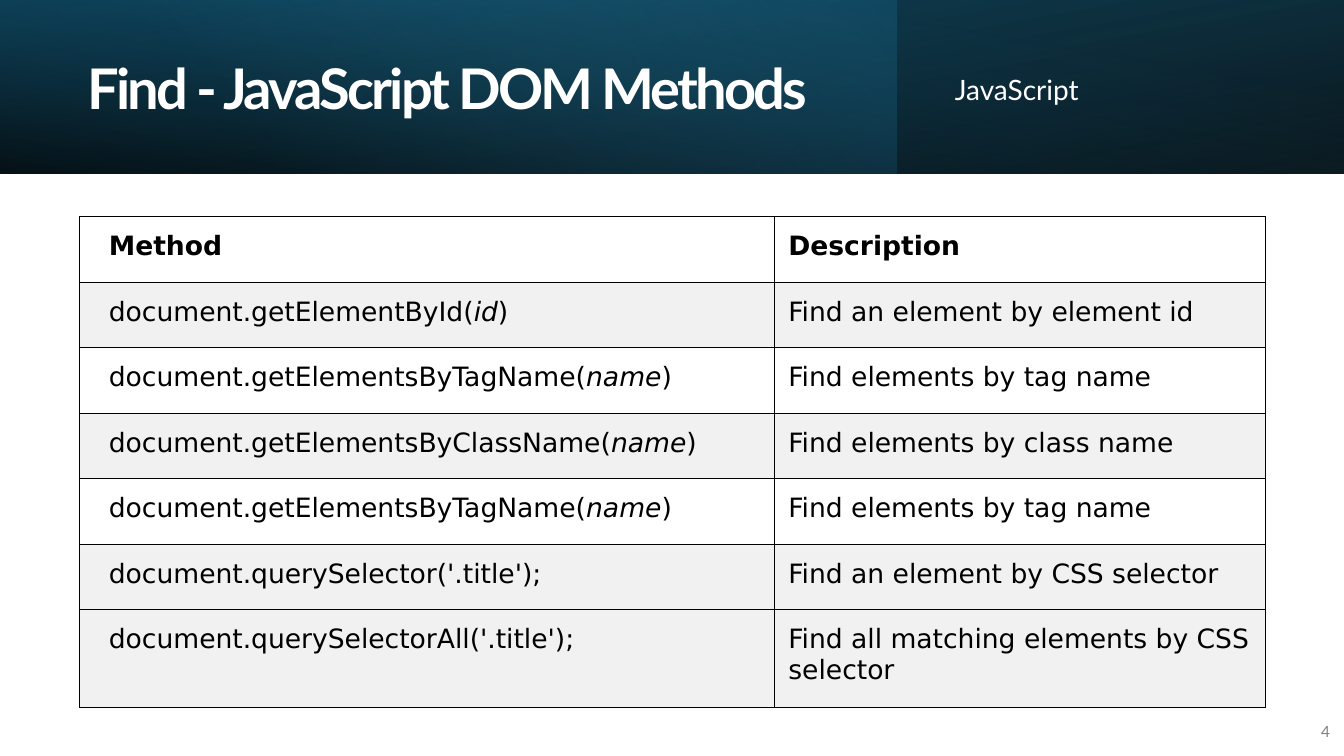
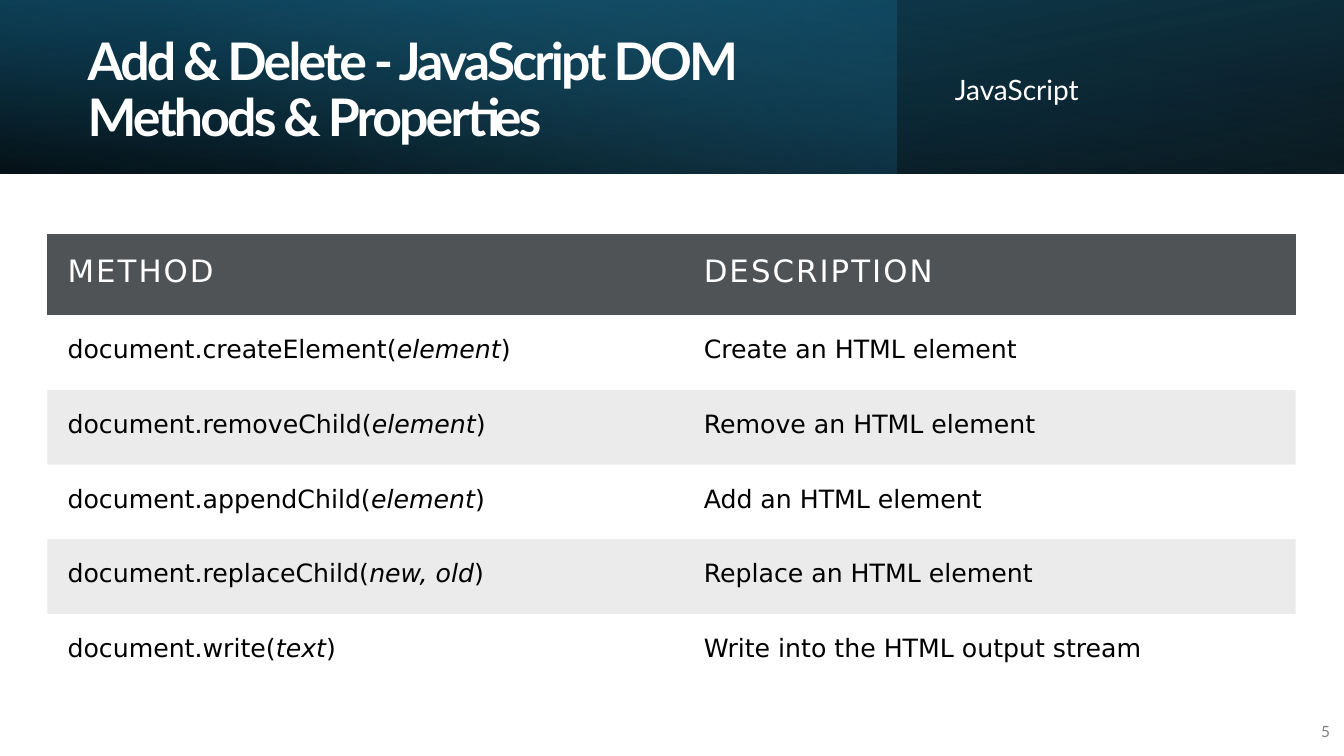
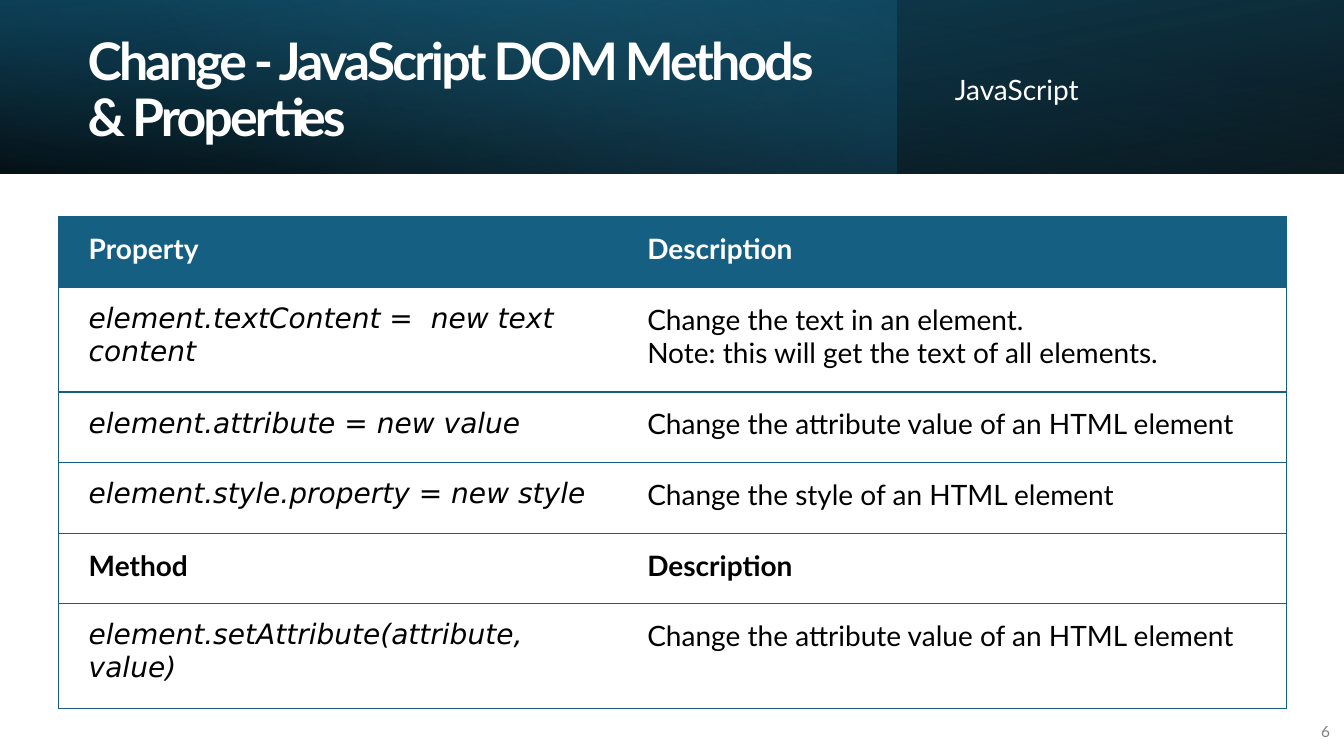
import pptx
import pptx.dml.color
import pptx.enum.shapes
import pptx.enum.text
import pptx.oxml.ns
import pptx.util
from lxml import etree

Inches = pptx.util.Inches
Pt = pptx.util.Pt
qn = pptx.oxml.ns.qn

COLORS = {
    "white": "FFFFFF",
    "black": "000000",
    "navy": "104862",
    "teal": "156082",
    "sky": "46B1E1",
    "stripe": "F1F1F1",
    "slate": "505356",
    "page": "808080",
}
TEXT_FONT = "Lato"
CODE_FONT = "DejaVu Sans"
PLAIN_TABLE = "{2D5ABB26-0587-4C30-8999-92F81FD0307C}"
BAND_HEIGHT = 1.72
SLIDE_WIDTH = 13.33

# Gradient stops are (position, colour, opacity in percent).
BAND_LAYERS = [
    dict(width=SLIDE_WIDTH, angle=100, flipped=True, rotation=180,
         stops=[(0, "black", 96), (1, "navy", 100)]),
    dict(width=8.89, angle=140, flipped=False, rotation=0,
         stops=[(0, "teal", 41), (0.74, "sky", 0)]),
    dict(width=SLIDE_WIDTH, angle=260, flipped=True, rotation=0,
         stops=[(0, "black", 63), (0.78, "teal", 15)]),
]

# Words between asterisks are set in italic code type.
FIND = dict(
    place=(0.79, 2.15), columns=[6.89, 4.87], heights=[0.65] * 6 + [0.97],
    margins=dict(left=0.14, top=0.14, right=0.14, bottom=0.14), first_left=0.29,
    border="black", inner_vertical=True,
    fills=[("white", 100), ("stripe", 100)] * 3 + [("stripe", 100)],
    header_rows={0: dict(color="black", size=Pt(19), bold=True, name=CODE_FONT)},
    body=dict(color="black", size=Pt(19), name=CODE_FONT),
    rows=[
        ("Method", "Description"),
        ("document.getElementById(*id*)", "Find an element by element id"),
        ("document.getElementsByTagName(*name*)", "Find elements by tag name"),
        ("document.getElementsByClassName(*name*)", "Find elements by class name"),
        ("document.getElementsByTagName(*name*)", "Find elements by tag name"),
        ("document.querySelector('.title');", "Find an element by CSS selector"),
        ("document.querySelectorAll('.title');",
         "Find all matching elements by CSS selector"),
    ],
)
ADD_DELETE = dict(
    place=(0.47, 2.32), columns=[6.31, 6.07], heights=[0.81] + [0.74] * 5,
    margins=dict(left=0.2, top=0.2, right=0.2, bottom=0.2), first_left=0.2,
    border=None, inner_vertical=False,
    fills=[("slate", 100)] + [None, ("black", 8)] * 2 + [None],
    header_rows={0: dict(color="white", spacing=1.5, size=Pt(22), name=CODE_FONT)},
    body=dict(color="black", size=Pt(18), name=CODE_FONT),
    rows=[
        ("METHOD", "DESCRIPTION"),
        ("document.createElement(*element*)", "Create an HTML element"),
        ("document.removeChild(*element*)", "Remove an HTML element"),
        ("document.appendChild(*element*)", "Add an HTML element"),
        ("document.replaceChild(*new, old*)", "Replace an HTML element"),
        ("document.write(*text*)", "Write into the HTML output stream"),
    ],
)
CHANGE = dict(
    place=(0.58, 2.15), columns=[5.69, 6.49],
    heights=[0.7, 1.04, 0.7, 0.7, 0.7, 1.04],
    margins=dict(left=0.15, top=0.15, right=0.15, bottom=0.15), first_left=0.3,
    border="teal", inner_vertical=False,
    fills=[("teal", 100)] + [None] * 5,
    header_rows={
        0: dict(color="white", size=Pt(20), bold=True, name=TEXT_FONT),
        4: dict(color="black", size=Pt(20), bold=True, name=TEXT_FONT),
    },
    body=dict(color="black", size=Pt(20), name=TEXT_FONT),
    rows=[
        ("Property", "Description"),
        ("*element.textContent =  new text content*",
         "Change the text in an element.\n"
         "Note: this will get the text of all elements."),
        ("*element.attribute = new value*",
         "Change the attribute value of an HTML element"),
        ("*element.style.property = new style*",
         "Change the style of an HTML element"),
        ("Method", "Description"),
        ("*element.setAttribute(attribute, value)*",
         "Change the attribute value of an HTML element"),
    ],
)
SLIDES = [
    ("Find - JavaScript DOM Methods", 40, FIND),
    ("Add & Delete - JavaScript DOM Methods & Properties", 37, ADD_DELETE),
    ("Change - JavaScript DOM Methods & Properties", 37, CHANGE),
]
FIRST_PAGE = 4


def rgb(name):
    return pptx.dml.color.RGBColor.from_string(COLORS[name])


def set_opacity(color_element, percent):
    if percent < 100:
        alpha = etree.SubElement(color_element, qn("a:alpha"))
        alpha.set("val", str(percent * 1000))


def set_format(target, values):
    for attribute, value in values.items():
        setattr(target, attribute, value)


def add_run(paragraph, text, color, spacing=0, **font_format):
    run = paragraph.add_run()
    run.text = text
    set_format(run.font, font_format)
    run.font.color.rgb = rgb(color)
    if spacing:
        run._r.get_or_add_rPr().set("spc", str(int(spacing * 100)))


def place_text(box, at, text, paragraph_format, **run_format):
    """Position a text shape and fill it with one formatted paragraph."""
    set_format(box, dict(zip(("left", "top", "width", "height"), map(Inches, at))))
    set_format(box.text_frame, dict(
        word_wrap=True,
        auto_size=pptx.enum.text.MSO_AUTO_SIZE.NONE,
        vertical_anchor=pptx.enum.text.MSO_ANCHOR.MIDDLE,
    ))
    paragraph = box.text_frame.paragraphs[0]
    set_format(paragraph, paragraph_format)
    add_run(paragraph, text, name=TEXT_FONT, **run_format)
    return paragraph


def add_band(slide):
    """Stack the gradient layers behind the placeholders."""
    for depth, layer in enumerate(BAND_LAYERS):
        band = slide.shapes.add_shape(
            pptx.enum.shapes.MSO_SHAPE.RECTANGLE,
            0, 0, Inches(layer["width"]), Inches(BAND_HEIGHT))
        band.shadow.inherit = False
        band.line.fill.background()
        band.rotation = layer["rotation"]
        properties = band._element.spPr
        if layer["flipped"]:
            properties.find(qn("a:xfrm")).set("flipH", "1")
        band.fill.gradient()
        band.fill.gradient_angle = 360 - layer["angle"]
        for stop, (position, color, _) in zip(band.fill.gradient_stops, layer["stops"]):
            stop.position = position
            stop.color.rgb = rgb(color)
        for element, stop in zip(properties.findall(".//" + qn("a:srgbClr")),
                                 layer["stops"]):
            set_opacity(element, stop[2])
        slide.shapes._spTree.insert(2 + depth, band._element)


def add_heading(slide, title, title_size):
    place_text(slide.shapes.title, (0.77, 0.27, 7.72, 1.27), title,
               dict(alignment=pptx.enum.text.PP_ALIGN.LEFT, line_spacing=0.9),
               color="white", spacing=-2, size=Pt(title_size), bold=True)
    topic = place_text(slide.placeholders[1], (9.37, 0.43, 3.54, 0.96), "JavaScript",
                       dict(line_spacing=0.9, space_before=Pt(10)),
                       color="white", size=Pt(20))
    topic_properties = topic._p.get_or_add_pPr()
    topic_properties.set("marL", "0")
    topic_properties.set("indent", "0")
    etree.SubElement(topic_properties, qn("a:buNone"))


def add_page_number(slide, number):
    at = (12.8, 7.06, 0.49, 0.4)
    place_text(slide.shapes.add_textbox(*map(Inches, at)), at, str(number),
               dict(alignment=pptx.enum.text.PP_ALIGN.RIGHT, space_after=Pt(6)),
               color="page", size=Pt(11))


def add_borders(cell, sides, color):
    cell_properties = cell._tc.get_or_add_tcPr()
    for side in sides:
        line = etree.SubElement(cell_properties, qn("a:ln" + side), w=str(Pt(1)))
        fill = etree.SubElement(line, qn("a:solidFill"))
        etree.SubElement(fill, qn("a:srgbClr"), val=COLORS[color])


def fill_cell(cell, fill):
    if fill is None:
        cell.fill.background()
        return
    color, opacity = fill
    cell.fill.solid()
    cell.fill.fore_color.rgb = rgb(color)
    set_opacity(cell._tc.tcPr.find(qn("a:solidFill"))[0], opacity)


def write_cell(cell, text, text_format):
    for index, line in enumerate(text.split("\n")):
        frame = cell.text_frame
        paragraph = frame.add_paragraph() if index else frame.paragraphs[0]
        for part, words in enumerate(line.split("*")):
            if words:
                code = dict(italic=True, name=CODE_FONT) if part % 2 else {}
                add_run(paragraph, words, **{**text_format, **code})


def add_reference_table(slide, design):
    columns, heights = design["columns"], design["heights"]
    size = (sum(columns), sum(heights))
    table = slide.shapes.add_table(
        len(heights), len(columns), *map(Inches, design["place"] + size)).table
    table._tbl.tblPr.find(qn("a:tableStyleId")).text = PLAIN_TABLE
    table.horz_banding = False
    for column, width in zip(table.columns, columns):
        column.width = Inches(width)
    for index, (row, height) in enumerate(zip(table.rows, heights)):
        row.height = Inches(height)
        text_format = design["header_rows"].get(index, design["body"])
        for position, (cell, text) in enumerate(zip(row.cells, design["rows"][index])):
            margins = dict(design["margins"])
            if position == 0:
                margins["left"] = design["first_left"]
            set_format(cell, {"margin_" + side: Inches(gap)
                              for side, gap in margins.items()})
            if design["border"]:
                outer = "L" if position == 0 else "R"
                sides = "LR" if design["inner_vertical"] else outer
                add_borders(cell, sides + "TB", design["border"])
            fill_cell(cell, design["fills"][index])
            write_cell(cell, text, text_format)


def main():
    deck = pptx.Presentation()
    deck.slide_width, deck.slide_height = Inches(SLIDE_WIDTH), Inches(7.5)
    for page, (title, title_size, design) in enumerate(SLIDES, FIRST_PAGE):
        slide = deck.slides.add_slide(deck.slide_layouts[1])
        add_band(slide)
        add_heading(slide, title, title_size)
        add_page_number(slide, page)
        add_reference_table(slide, design)
    deck.save("out.pptx")


if __name__ == "__main__":
    main()
